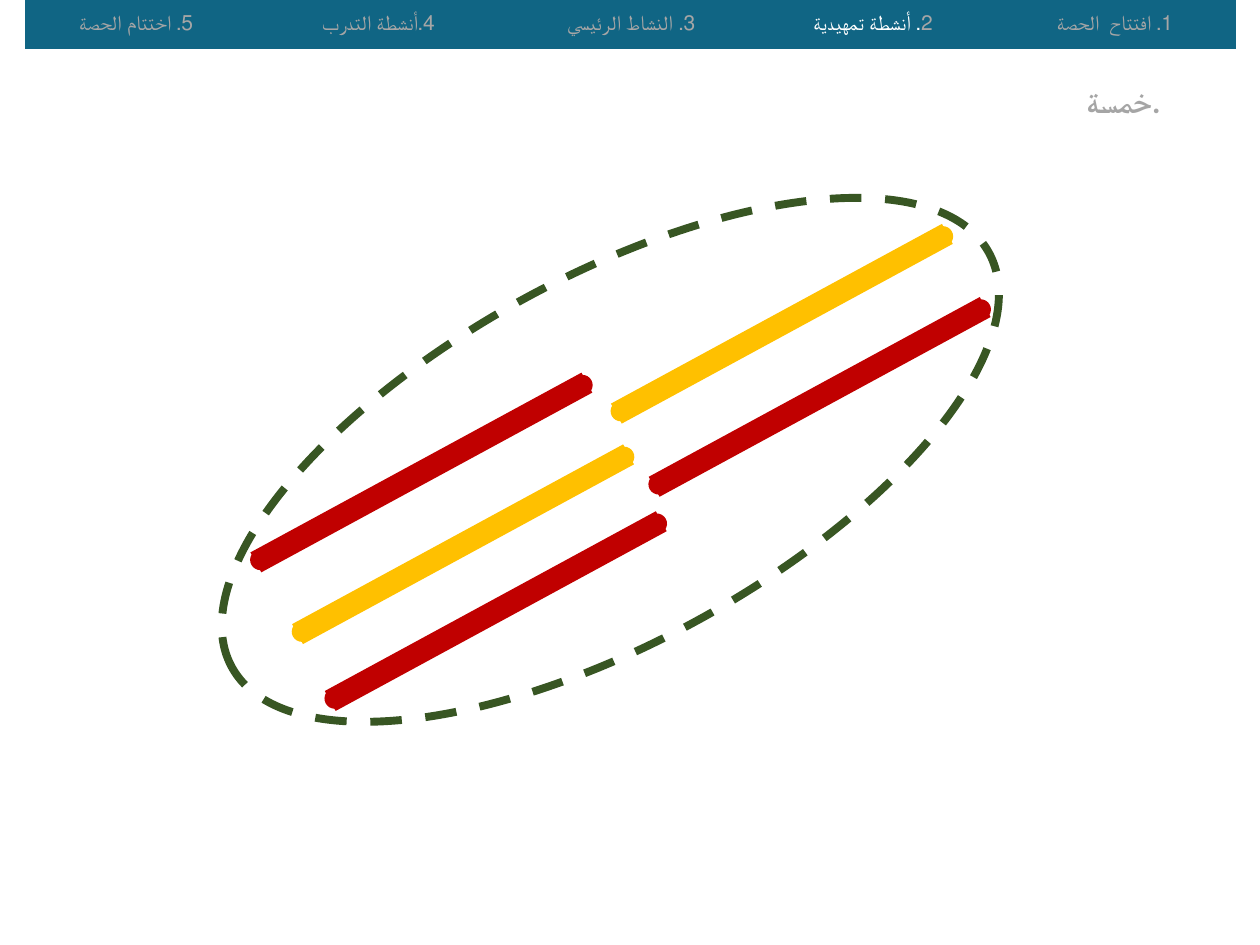
"""Build the counting slide: lesson steps above five sticks in a dashed ring."""
from dataclasses import dataclass
from math import cos, radians, sin
from typing import Any, Dict, Tuple

from pptx import Presentation
from pptx import util as u
from pptx.dml.color import RGBColor
from pptx.enum import dml, shapes, text


@dataclass(frozen=True)
class Theme:
    bar: str = "106584"
    muted: str = "A6A6A6"
    active: str = "FFFFFF"
    title: str = "A5A5A5"
    ring: str = "385623"
    red: str = "C00000"
    yellow: str = "FFC000"
    font: str = "Calibri"
    step_size: float = 12
    title_size: float = 18
    plain_table: str = "{2D5ABB26-0587-4C30-8999-92F81FD0307C}"


@dataclass(frozen=True)
class Stick:
    center_x: float
    center_y: float
    color: str


@dataclass(frozen=True)
class Step:
    width: float
    runs: Tuple[Tuple[str, str], ...]


THEME = Theme()
TILT = 331.5
STICK_LENGTH, STICK_THICKNESS = 215.3, 13
CAP_WIDTH, CAP_HEIGHT, CAP_REACH = 6.5, 12.2, 107.3
BAR_HEIGHT = 28.1

STICKS = (
    Stick(240.8, 270, THEME.red),
    Stick(264.6, 311, THEME.yellow),
    Stick(283.3, 349.2, THEME.red),
    Stick(446.8, 185, THEME.yellow),
    Stick(468.4, 226.8, THEME.red),
)
STEPS = (
    Step(126.7, (("5. اختتام الحصة", THEME.muted),)),
    Step(150.5, (("4.أنشطة التدرب", THEME.muted),)),
    Step(138.2, (("3. النشاط الرئيسي", THEME.muted),)),
    Step(138.2, (("2", THEME.muted), (". أنشطة تمهيدية", THEME.active))),
    Step(138.2, (("1. افتتاح  الحصة", THEME.muted),)),
)


def apply(target: Any, values: Dict[str, Any]) -> None:
    """Set every named attribute on the target."""
    for name, value in values.items():
        setattr(target, name, value)


def add_run(paragraph: Any, words: str, color: str, size: float, bold: bool = False) -> None:
    """Add one formatted run of text."""
    run = paragraph.add_run()
    run.text = words
    apply(run.font, {"name": THEME.font, "size": u.Pt(size), "bold": bold})
    run.font.color.rgb = RGBColor.from_string(color)


def add_centered(parent: Any, kind: Any, x: float, y: float, width: float,
                 height: float, rotation: float) -> Any:
    """Add a rotated preset shape around its centre point."""
    shape = parent.add_shape(kind, u.Pt(x - width / 2), u.Pt(y - height / 2),
                             u.Pt(width), u.Pt(height))
    shape.rotation = rotation
    shape.shadow.inherit = False
    return shape


def add_ring(slide: Any) -> None:
    """Draw the dashed ellipse around the sticks."""
    ring = add_centered(slide.shapes, shapes.MSO_SHAPE.OVAL, 348.8, 262.8, 493.2, 208.8, 331.3)
    ring.fill.background()
    apply(ring.line, {"width": u.Pt(4.5), "dash_style": dml.MSO_LINE.DASH})
    ring.line.color.rgb = RGBColor.from_string(THEME.ring)


def add_stick(slide: Any, stick: Stick) -> None:
    """Draw a tilted bar with a rounded cap at each end."""
    group = slide.shapes.add_group_shape().shapes
    reach_x, reach_y = CAP_REACH * cos(radians(TILT)), CAP_REACH * sin(radians(TILT))
    parts = [add_centered(group, shapes.MSO_SHAPE.RECTANGLE, stick.center_x, stick.center_y,
                          STICK_LENGTH, STICK_THICKNESS, TILT)]
    for side, rotation in ((1, TILT - 180), (-1, TILT)):
        cap = add_centered(group, shapes.MSO_SHAPE.MOON, stick.center_x + side * reach_x,
                           stick.center_y + side * reach_y, CAP_WIDTH, CAP_HEIGHT, rotation)
        cap.adjustments[0] = 0.5
        parts.append(cap)
    for part in parts:
        part.fill.solid()
        part.fill.fore_color.rgb = RGBColor.from_string(stick.color)
        part.line.fill.background()


def add_steps(slide: Any) -> None:
    """Draw the bar of lesson steps as a one-row table."""
    width = sum(step.width for step in STEPS)
    table = slide.shapes.add_table(1, len(STEPS), u.Pt(14.4), u.Pt(0),
                                   u.Pt(width), u.Pt(BAR_HEIGHT)).table
    apply(table, {"first_row": False, "horz_banding": False})
    table._tbl.tblPr[0].text = THEME.plain_table
    for column, cell, step in zip(table.columns, table.rows[0].cells, STEPS):
        column.width = u.Pt(step.width)
        cell.vertical_anchor = text.MSO_ANCHOR.MIDDLE
        cell.fill.solid()
        cell.fill.fore_color.rgb = RGBColor.from_string(THEME.bar)
        paragraph = cell.text_frame.paragraphs[0]
        paragraph.alignment = text.PP_ALIGN.CENTER
        paragraph._p.get_or_add_pPr().set("rtl", "1")
        for words, color in step.runs:
            add_run(paragraph, words, color, THEME.step_size)


def add_title(slide: Any) -> None:
    """Place the answer in the title placeholder."""
    title = slide.shapes.title
    apply(title, {"left": u.Pt(92.2), "top": u.Pt(44.6), "width": u.Pt(576), "height": u.Pt(27.4)})
    apply(title.text_frame, {
        "margin_left": u.Pt(5), "margin_right": u.Pt(5),
        "margin_top": u.Pt(2.2), "margin_bottom": u.Pt(2.2),
        "word_wrap": True, "vertical_anchor": text.MSO_ANCHOR.TOP,
        "auto_size": text.MSO_AUTO_SIZE.SHAPE_TO_FIT_TEXT,
    })
    paragraph = title.text_frame.paragraphs[0]
    paragraph.alignment = text.PP_ALIGN.RIGHT
    add_run(paragraph, "خمسة.", THEME.title, THEME.title_size, bold=True)


def main() -> None:
    """Build and save the presentation."""
    presentation = Presentation()
    apply(presentation, {"slide_width": u.Pt(720), "slide_height": u.Pt(540)})
    slide = presentation.slides.add_slide(presentation.slide_layouts.get_by_name("Title Only"))
    add_ring(slide)
    for stick in STICKS:
        add_stick(slide, stick)
    add_steps(slide)
    add_title(slide)
    presentation.save("out.pptx")


if __name__ == "__main__":
    main()
